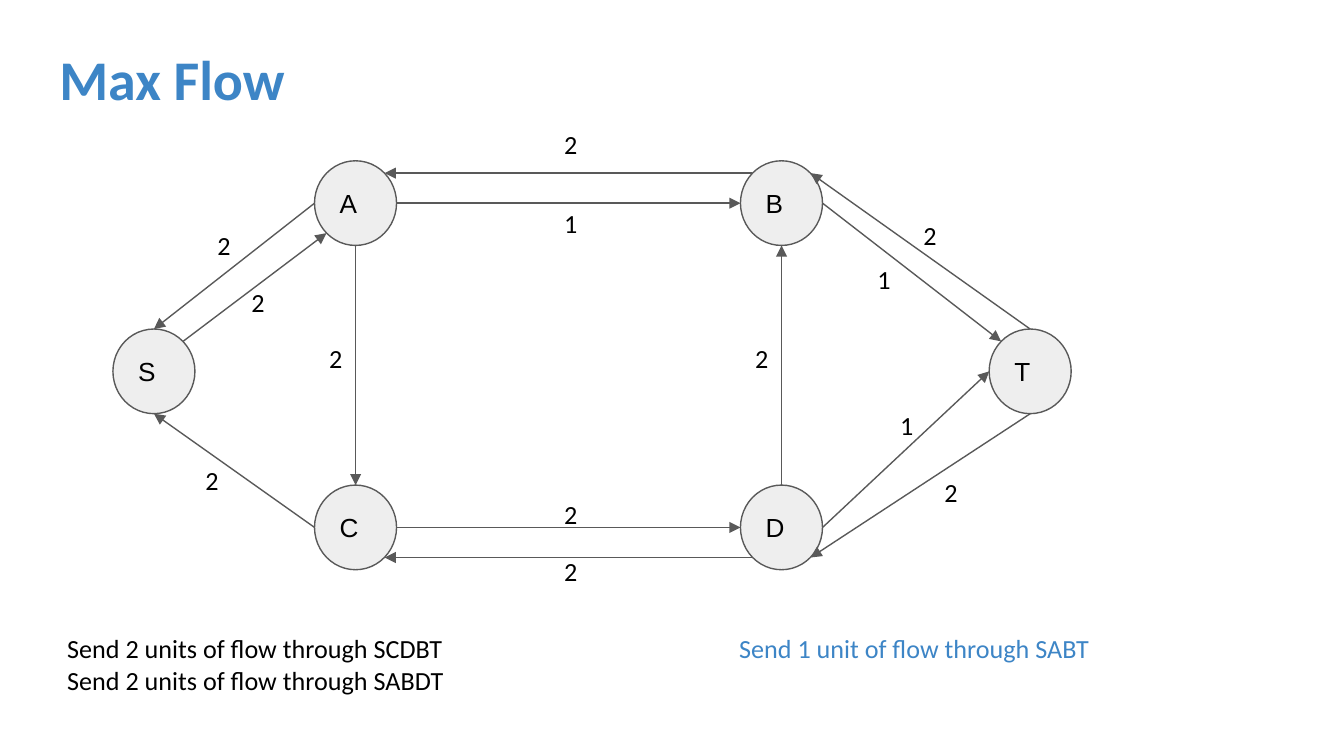
"""Build the Max Flow slide: a residual graph with its augmenting paths."""
from lxml.etree import SubElement as Sub
from pptx import Presentation
from pptx.dml.color import RGBColor as Rgb
from pptx.enum.shapes import MSO_CONNECTOR as Link, MSO_SHAPE as Kind
from pptx.enum.text import MSO_ANCHOR as Anchor, MSO_AUTO_SIZE as Auto, PP_ALIGN as Align
from pptx.oxml.ns import qn
from pptx.util import Cm, Pt

HUES = {"blue": "3D85C6", "node": "EEEEEE", "line": "595959", "text": "000000"}
WIDE, HIGH = 1.55, 1.6
NODES = {"S": (2.91, 7.02), "A": (6.72, 3.84), "C": (6.72, 9.97),
         "B": (14.77, 3.84), "D": (14.77, 9.97), "T": (19.47, 7.02)}
SIDES = {"N": (0, -1), "S": (0, 1), "W": (-1, 0), "E": (1, 0),
         "NW": (-0.71, -0.71), "NE": (0.71, -0.71),
         "SW": (-0.71, 0.71), "SE": (0.71, 0.71)}
EDGES = [
    ("S", "NE", "A", "SW", "2", 4.5, 5.16),
    ("A", "W", "S", "N", "2", 3.86, 4.09),
    ("A", "S", "C", "N", "2", 5.97, 6.22),
    ("A", "E", "B", "W", "1", 10.41, 3.68),
    ("B", "NW", "A", "NE", "2", 10.41, 2.18),
    ("C", "E", "D", "W", "2", 10.41, 9.17),
    ("D", "SW", "C", "SE", "2", 10.41, 10.24),
    ("C", "W", "S", "S", "2", 3.63, 8.53),
    ("D", "N", "B", "S", "2", 14.02, 6.22),
    ("D", "E", "T", "W", "1", 16.76, 7.49),
    ("T", "S", "D", "SE", "2", 17.6, 8.76),
    ("B", "E", "T", "NW", "1", 16.33, 4.72),
    ("T", "N", "B", "NE", "2", 17.2, 3.89),
]


def style(run, face="Calibri", size=14, hue="text", bold=False):
    font = run.font
    font.name, font.size, font.bold = face, Pt(size), bold
    font.color.rgb = Rgb.from_string(HUES[hue])


def frame(shape, anchor=Anchor.TOP):
    box = shape.text_frame
    box.word_wrap, box.auto_size, box.vertical_anchor = True, Auto.NONE, anchor
    box.margin_left = box.margin_right = box.margin_top = box.margin_bottom = Cm(0.25)
    return box


deck = Presentation()
deck.slide_width, deck.slide_height = Cm(25.4), Cm(14.29)
slide = deck.slides.add_slide(deck.slide_layouts[5])
shapes = slide.shapes

title = shapes.title
title.left, title.top, title.width, title.height = Cm(0.87), Cm(0.59), Cm(23.67), Cm(1.59)
box = frame(title)
box.text = "Max Flow"
box.paragraphs[0].alignment = Align.LEFT
style(box.paragraphs[0].runs[0], size=30, hue="blue", bold=True)

for name, (x, y) in NODES.items():
    node = shapes.add_shape(Kind.OVAL, Cm(x - WIDE / 2), Cm(y - HIGH / 2), Cm(WIDE), Cm(HIGH))
    node.shadow.inherit = False
    node.fill.solid()
    node.fill.fore_color.rgb = Rgb.from_string(HUES["node"])
    node.line.color.rgb = Rgb.from_string(HUES["line"])
    node.line.width = Pt(0.75)
    box = frame(node, Anchor.MIDDLE)
    box.text = name
    box.paragraphs[0].alignment = Align.LEFT
    style(box.paragraphs[0].runs[0], face="Arial")

for start, out, end, into, flow, left, top in EDGES:
    ends = []
    for name, side in ((start, out), (end, into)):
        (x, y), (dx, dy) = NODES[name], SIDES[side]
        ends += [Cm(x + dx * WIDE / 2), Cm(y + dy * HIGH / 2)]
    edge = shapes.add_connector(Link.STRAIGHT, *ends)
    edge.line.color.rgb = Rgb.from_string(HUES["line"])
    edge.line.width = Pt(0.75)
    Sub(edge.line._get_or_add_ln(), qn("a:tailEnd"), type="triangle", w="med", len="med")
    Sub(edge._element.spPr, qn("a:effectLst"))
    box = frame(shapes.add_textbox(Cm(left), Cm(top), Cm(0.71), Cm(0.86)))
    box.text = flow
    style(box.paragraphs[0].runs[0])

box = frame(shapes.add_textbox(Cm(1.02), Cm(11.71), Cm(23.29), Cm(1.78)))
box.text = "Send 2 units of flow through SCDBT\nSend 2 units of flow through SABDT"
for line in box.paragraphs:
    style(line.runs[0])
first = box.paragraphs[0]
tabs = Sub(first._p.get_or_add_pPr(), qn("a:tabLst"))
Sub(tabs, qn("a:tab"), pos=str(Cm(12.7)), algn="l")
path = first.add_run()
path.text = "\tSend 1 unit of flow through SABT"
style(path, hue="blue")

deck.save("out.pptx")
